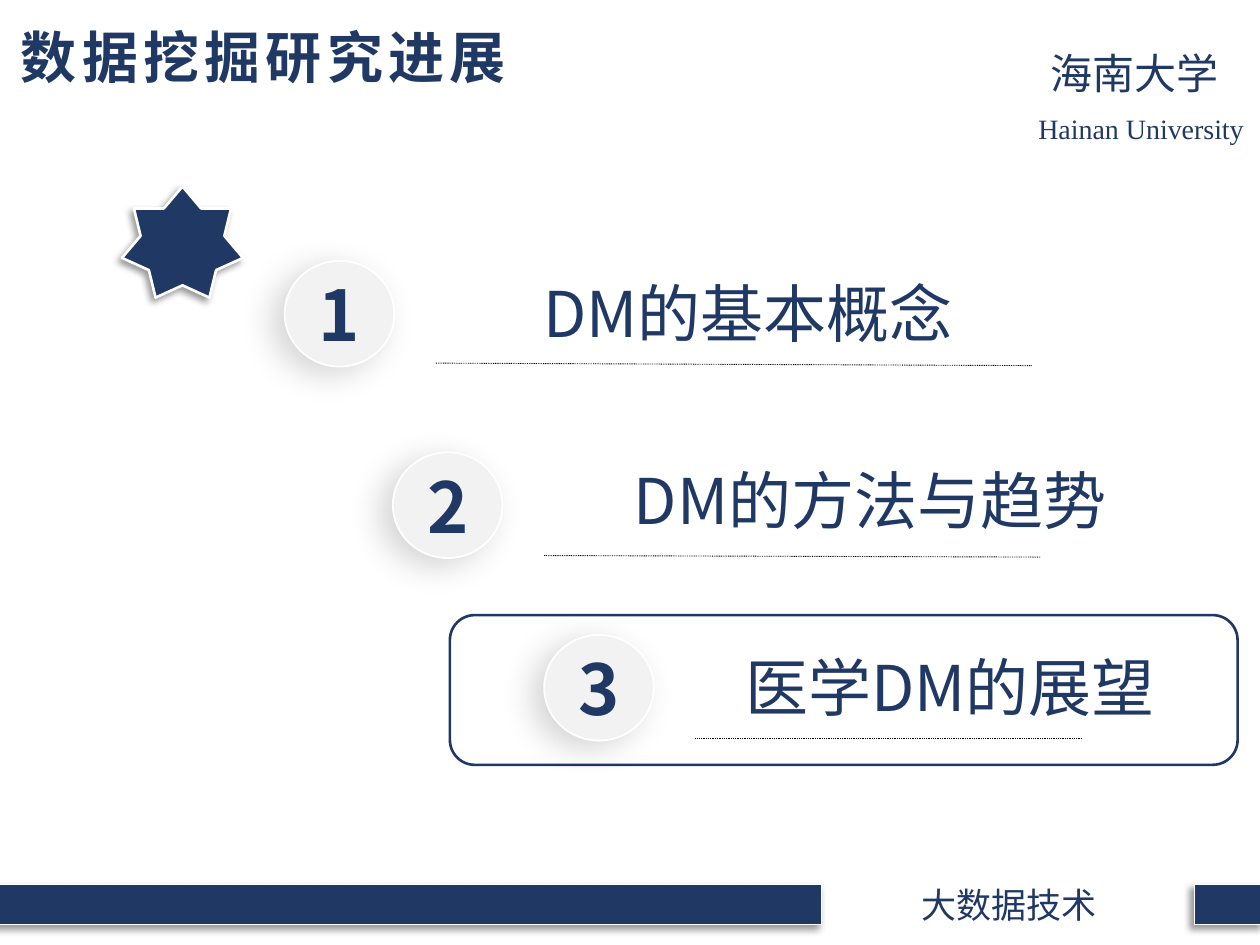
"""Build the agenda slide on progress in data mining research."""
from lxml import etree
from pptx import Presentation
from pptx.dml.color import RGBColor
from pptx.enum.dml import MSO_LINE
from pptx.enum.shapes import MSO_CONNECTOR, MSO_SHAPE
from pptx.enum.text import MSO_ANCHOR, PP_ALIGN
from pptx.oxml.ns import qn
from pptx.util import Cm, Pt

STRAIGHT = MSO_CONNECTOR.STRAIGHT
STAR, BAR, FRAME, DISC = (MSO_SHAPE.STAR_7_POINT, MSO_SHAPE.RECTANGLE,
                          MSO_SHAPE.ROUNDED_RECTANGLE, MSO_SHAPE.OVAL)
DOTTED = MSO_LINE.ROUND_DOT
CENTER = PP_ALIGN.CENTER
TOP, MIDDLE = MSO_ANCHOR.TOP, MSO_ANCHOR.MIDDLE
SANS, SERIF = "Noto Sans CJK SC", "Times New Roman"
COLORS = {name: RGBColor.from_string(value) for name, value in {
    "navy": "203864", "white": "FFFFFF", "pale": "F2F2F2", "black": "000000"}.items()}
HARD_SHADOW = {"alpha": 40, "blur": 4, "distance": 3, "angle": 135}
SOFT_SHADOW = {"alpha": 17, "blur": 19, "distance": 8, "angle": 149}


def write_text(shape, text, size, font=SANS, bold=False, anchor=TOP):
    frame = shape.text_frame
    for name, value in {"word_wrap": True, "vertical_anchor": anchor}.items():
        setattr(frame, name, value)
    para = frame.paragraphs[0]
    para.alignment = CENTER
    span = para.add_run()
    span.text = text
    for name, value in {"name": font, "size": Pt(size), "bold": bold}.items():
        setattr(span.font, name, value)
    span.font.color.rgb = COLORS["navy"]
    etree.SubElement(span.font._element, qn("a:ea"), typeface=font)
    return span


def add_raised(kind, place, fill, width, shadow):
    shape = page.shapes.add_shape(kind, *map(Cm, place))
    shape.fill.solid()
    shape.fill.fore_color.rgb = COLORS[fill]
    shape.line.color.rgb = COLORS["white"]
    shape.line.width = Pt(width)
    shape.shadow.inherit = False
    effects = shape._element.spPr.find(qn("a:effectLst"))
    outer = etree.SubElement(
        effects, qn("a:outerShdw"), blurRad=str(Pt(shadow["blur"])),
        dist=str(Pt(shadow["distance"])), dir=str(shadow["angle"] * 60000),
        algn="ctr", rotWithShape="0")
    color = etree.SubElement(outer, qn("a:srgbClr"), val=str(COLORS["black"]))
    etree.SubElement(color, qn("a:alpha"), val=str(shadow["alpha"] * 1000))
    return shape


deck = Presentation()
deck.slide_width, deck.slide_height = Cm(25.4), Cm(19.05)
page = deck.slides.add_slide(deck.slide_layouts[5])

title = page.shapes.title
for name, value in {"left": 0, "top": 0.33, "width": 10.62, "height": 1.63}.items():
    setattr(title, name, Cm(value))
heading = write_text(title, "数据挖掘研究进展", 32, bold=True)
heading.font._element.set("spc", "300")

add_raised(STAR, (2.46, 3.76, 2.44, 2.24), "navy", 1.5, HARD_SHADOW)
for left, width in ((-0.15, 16.71), (24.08, 1.4)):
    add_raised(BAR, (left, 17.83, width, 0.81), "navy", 1, HARD_SHADOW)

highlight = page.shapes.add_shape(FRAME, Cm(9.07), Cm(12.4), Cm(15.88), Cm(3.02))
highlight.fill.background()
highlight.line.color.rgb = COLORS["navy"]
highlight.line.width = Pt(1.5)
highlight.shadow.inherit = False

topics = (
    ("DM的基本概念", (5.74, 5.26), (8.79, 5.41, 12.57), (8.79, 7.32, 20.8, 7.37)),
    ("DM的方法与趋势", (7.92, 9.12), (10.29, 9.17, 14.5), (10.97, 11.2, 20.98, 11.23)),
    ("医学DM的展望", (10.97, 12.8), (14.02, 12.95, 10.26), (14.02, 14.88, 21.82, 14.88)),
)
for number, (topic, corner, place, ends) in enumerate(topics, 1):
    rule = page.shapes.add_connector(STRAIGHT, *map(Cm, ends))
    rule.line.color.rgb = COLORS["black"]
    rule.line.width = Pt(0.5)
    rule.line.dash_style = DOTTED
    etree.SubElement(rule._element.spPr, qn("a:effectLst"))
    disc = add_raised(DISC, (*corner, 2.21, 2.13), "pale", 1, SOFT_SHADOW)
    write_text(disc, str(number), 40, bold=True, anchor=MIDDLE)
    write_text(page.shapes.add_textbox(*map(Cm, (*place, 1.8))), topic, 36)

labels = (
    ("大数据技术", (16.23, 17.68, 8.23, 1.12), 20, SANS),
    ("海南大学", (20.8, 0.84, 4.14, 1.27), 24, SANS),
    ("Hainan University", (20.02, 2.13, 5.97, 0.94), 16, SERIF),
)
for label, place, size, font in labels:
    write_text(page.shapes.add_textbox(*map(Cm, place)), label, size, font)

deck.save("out.pptx")
